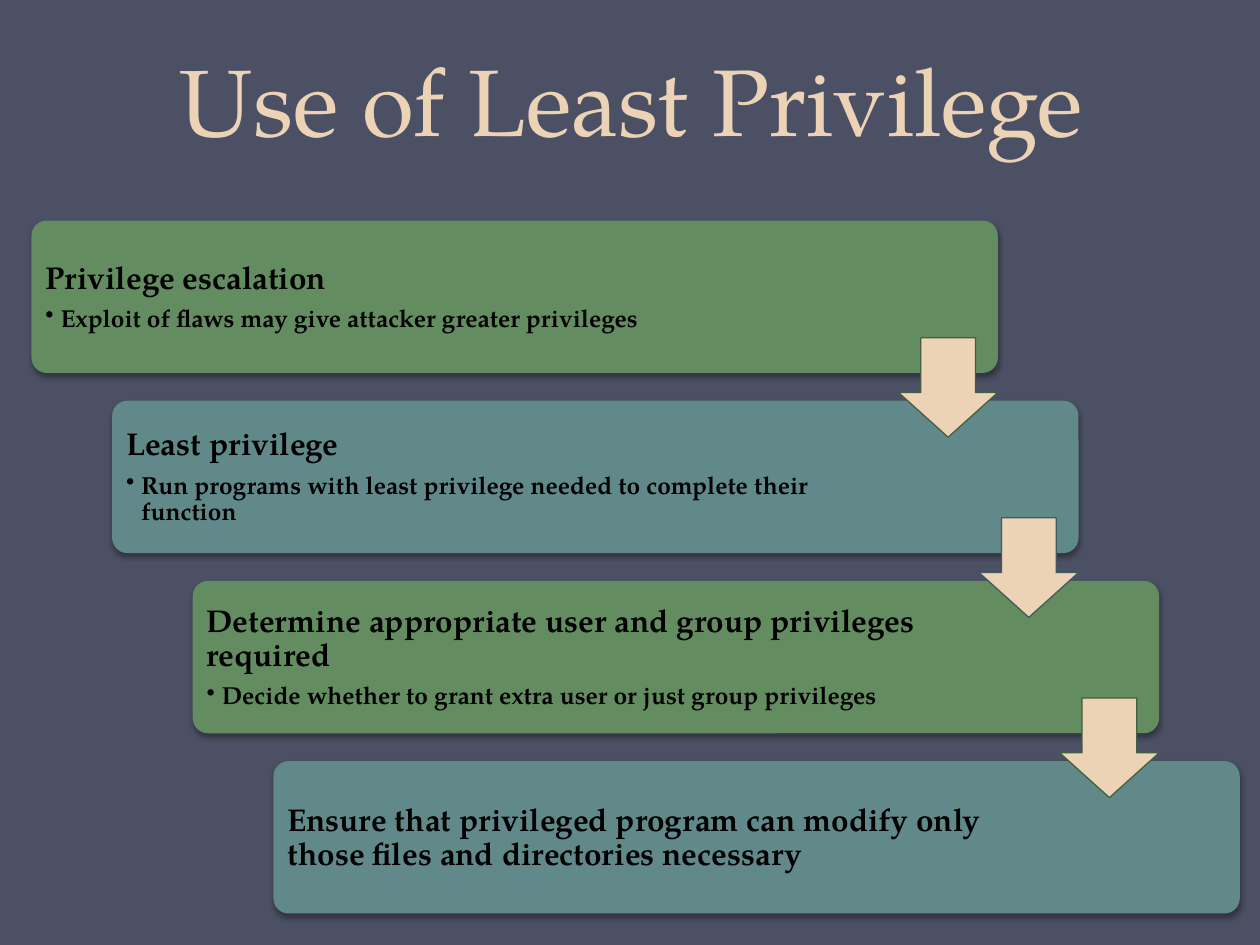
from dataclasses import dataclass

from lxml import etree
from pptx import Presentation
from pptx.dml.color import RGBColor
from pptx.enum.shapes import MSO_SHAPE
from pptx.enum.text import MSO_ANCHOR, PP_ALIGN
from pptx.oxml.ns import qn
from pptx.util import Inches, Pt

ROUNDED = MSO_SHAPE.ROUNDED_RECTANGLE
DOWN_ARROW = MSO_SHAPE.DOWN_ARROW
MIDDLE, BOTTOM = MSO_ANCHOR.MIDDLE, MSO_ANCHOR.BOTTOM
CENTER = PP_ALIGN.CENTER

FONT = "TeX Gyre Pagella"
COLORS = {
    "background": "4B5064",
    "cream": "EDD3B6",
    "text": "000000",
    "green": "648C61",
    "green edge": "435E40",
    "teal": "61898A",
    "teal edge": "415B5C",
}

# Staircase geometry, in inches
FIRST_LEFT, FIRST_TOP = 0.25, 1.75
STEP_X, STEP_Y = 0.64, 1.43
CARD_WIDTH, CARD_HEIGHT = 7.67, 1.21
TEXT_WIDTH, TEXT_OFFSET = 6.18, 0.04
TEXT_HEIGHT = 1.14
ARROW_SIZE, ARROW_DROP = 0.79, 0.93


@dataclass
class Step:
    heading: str
    detail: str
    color: str


STEPS = [
    Step("Privilege escalation",
         "Exploit of flaws may give attacker greater privileges", "green"),
    Step("Least privilege",
         "Run programs with least privilege needed to complete their function", "teal"),
    Step("Determine appropriate user and group privileges required",
         "Decide whether to grant extra user or just group privileges", "green"),
    Step("Ensure that privileged program can modify only those files and "
         "directories necessary", "", "teal"),
]


def rgb(name: str) -> RGBColor:
    return RGBColor.from_string(COLORS[name])


def format_para(para, size: float, color: str, bold: bool = False) -> None:
    for span in para.runs:
        span.font.name = FONT
        span.font.size = Pt(size)
        span.font.bold = bold
        span.font.color.rgb = rgb(color)


def add_soft_shadow(shape) -> None:
    shape.shadow.inherit = False
    effects = shape._element.spPr.find(qn("a:effectLst"))
    shadow = etree.SubElement(
        effects, qn("a:outerShdw"), blurRad=str(Pt(3.1)), dist=str(Pt(1.8)),
        dir="5400000", rotWithShape="0")
    tint = etree.SubElement(shadow, qn("a:srgbClr"), val="000000")
    etree.SubElement(tint, qn("a:alpha"), val="35000")


def add_bullet(para) -> None:
    properties = para._p.get_or_add_pPr()
    properties.set("marL", str(Inches(0.12)))
    properties.set("indent", str(Inches(-0.12)))
    etree.SubElement(properties, qn("a:buChar"), char="•")


def add_title(page, text: str) -> None:
    box = page.shapes.add_textbox(Inches(0.51), Inches(-0.11), Inches(9), Inches(1.39))
    frame = box.text_frame
    frame.word_wrap = True
    frame.vertical_anchor = BOTTOM
    frame.text = text
    para = frame.paragraphs[0]
    para.alignment = CENTER
    para.line_spacing = Pt(58)
    format_para(para, 54, "cream")


def add_card(page, step: Step, left: float, top: float) -> None:
    card = page.shapes.add_shape(
        ROUNDED, Inches(left), Inches(top), Inches(CARD_WIDTH), Inches(CARD_HEIGHT))
    card.adjustments[0] = 0.1
    card.fill.solid()
    card.fill.fore_color.rgb = rgb(step.color)
    card.line.fill.background()
    add_soft_shadow(card)

    box = page.shapes.add_textbox(
        Inches(left + TEXT_OFFSET), Inches(top + TEXT_OFFSET),
        Inches(TEXT_WIDTH), Inches(TEXT_HEIGHT))
    frame = box.text_frame
    frame.word_wrap = True
    frame.vertical_anchor = MIDDLE
    frame.margin_left = frame.margin_right = Inches(0.07)
    frame.margin_top = frame.margin_bottom = Inches(0.07)
    frame.text = step.heading
    heading = frame.paragraphs[0]
    heading.line_spacing = 0.9
    heading.space_after = Pt(6)
    format_para(heading, 18, "text", bold=True)
    if step.detail:
        detail = frame.add_paragraph()
        detail.text = step.detail
        detail.level = 1
        detail.line_spacing = 0.9
        detail.space_after = Pt(2)
        add_bullet(detail)
        format_para(detail, 14, "text", bold=True)


def add_arrow(page, left: float, top: float, edge: str) -> None:
    arrow = page.shapes.add_shape(
        DOWN_ARROW, Inches(left), Inches(top), Inches(ARROW_SIZE), Inches(ARROW_SIZE))
    arrow.adjustments[0] = 0.55
    arrow.adjustments[1] = 0.45
    arrow.shadow.inherit = False
    arrow.fill.solid()
    arrow.fill.fore_color.rgb = rgb("cream")
    arrow.line.color.rgb = rgb(edge)
    arrow.line.width = Pt(0.75)


def main() -> None:
    deck = Presentation()
    deck.slide_width, deck.slide_height = Inches(10), Inches(7.5)
    page = deck.slides.add_slide(deck.slide_layouts[6])
    page.background.fill.solid()
    page.background.fill.fore_color.rgb = rgb("background")

    add_title(page, "Use of Least Privilege")

    # Cards descend to the right
    corners = [(FIRST_LEFT + i * STEP_X, FIRST_TOP + i * STEP_Y)
               for i in range(len(STEPS))]
    for step, (left, top) in zip(STEPS, corners):
        add_card(page, step, left, top)

    # An arrow at the right edge of each card leads to the next
    for step, (left, top) in zip(STEPS[:-1], corners):
        add_arrow(page, left + CARD_WIDTH - ARROW_SIZE, top + ARROW_DROP,
                  f"{step.color} edge")

    deck.save("out.pptx")


if __name__ == "__main__":
    main()
